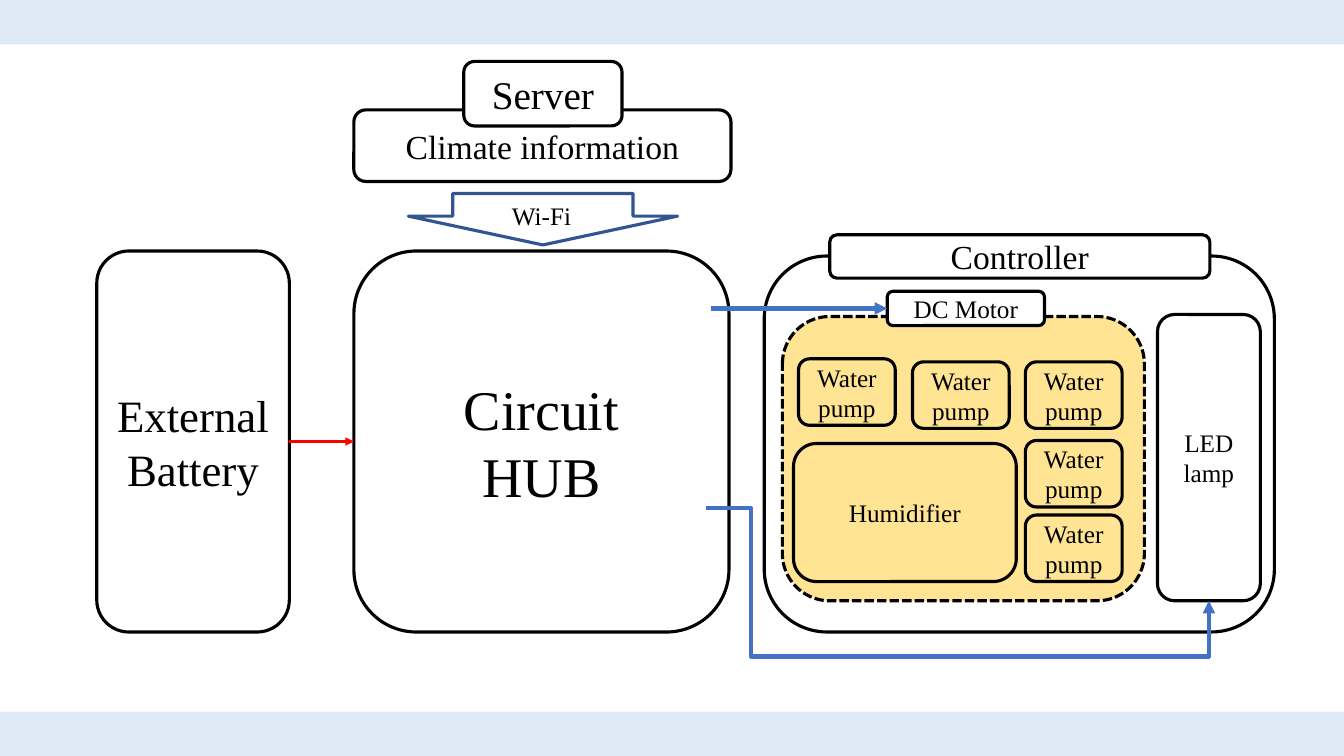
from lxml import etree
from pptx import Presentation
from pptx.dml.color import RGBColor
from pptx.enum.dml import MSO_LINE
from pptx.enum.shapes import MSO_CONNECTOR, MSO_SHAPE
from pptx.enum.text import MSO_ANCHOR, PP_ALIGN
from pptx.oxml.ns import qn
from pptx.util import Inches, Pt

BLACK = RGBColor(0x00, 0x00, 0x00)
WHITE = RGBColor(0xFF, 0xFF, 0xFF)
BLUE = RGBColor(0x44, 0x72, 0xC4)
DARK_BLUE = RGBColor(0x32, 0x54, 0x91)
PALE_BLUE = RGBColor(0xDE, 0xEB, 0xF7)
AMBER = RGBColor(0xFF, 0xC0, 0x00)
RED = RGBColor(0xFF, 0x00, 0x00)

ROUNDED = MSO_SHAPE.ROUNDED_RECTANGLE
RECTANGLE = MSO_SHAPE.RECTANGLE
DOWN_ARROW = MSO_SHAPE.DOWN_ARROW
STRAIGHT = MSO_CONNECTOR.STRAIGHT
ELBOW = MSO_CONNECTOR.ELBOW
DASHED = MSO_LINE.SQUARE_DOT
CENTER = PP_ALIGN.CENTER
LEFT = PP_ALIGN.LEFT
MIDDLE = MSO_ANCHOR.MIDDLE
LEFT_SIDE, RIGHT_SIDE = 1, 3


class Diagram:
    font_name = "Times New Roman"
    line_width = Pt(2.25)

    def __init__(self, slide):
        self.slide = slide

    def set_text(self, shape, text, size, alignment):
        shape.text_frame.text = text
        font_format = {"name": self.font_name, "size": Pt(size)}
        for paragraph in shape.text_frame.paragraphs:
            paragraph.alignment = alignment
            for name, value in font_format.items():
                setattr(paragraph.font, name, value)
            paragraph.font.color.rgb = BLACK

    def box(self, left, top, width, height, text="", size=18, fill=None,
            line=BLACK, preset=ROUNDED):
        shape = self.slide.shapes.add_shape(
            preset, Inches(left), Inches(top), Inches(width), Inches(height))
        shape.shadow.inherit = False
        if fill is None:
            shape.fill.background()
        else:
            shape.fill.solid()
            shape.fill.fore_color.rgb = fill
        if line is None:
            shape.line.fill.background()
        else:
            shape.line.color.rgb = line
            shape.line.width = self.line_width
        if text:
            frame_format = {"word_wrap": True, "vertical_anchor": MIDDLE}
            for name, value in frame_format.items():
                setattr(shape.text_frame, name, value)
            self.set_text(shape, text, size, CENTER)
        return shape

    def label(self, left, top, width, height, text, size=18):
        shape = self.slide.shapes.add_textbox(
            Inches(left), Inches(top), Inches(width), Inches(height))
        self.set_text(shape, text, size, LEFT)

    def arrow(self, start, end, color, width, kind=STRAIGHT):
        points = [Inches(value) for value in (*start, *end)]
        connector = self.slide.shapes.add_connector(kind, *points)
        connector.line.color.rgb = color
        connector.line.width = Pt(width)
        properties = connector._element.spPr
        etree.SubElement(properties.find(qn("a:ln")), qn("a:tailEnd"),
                         type="triangle")
        etree.SubElement(properties, qn("a:effectLst"))
        return connector


def set_opacity(shape, percent):
    color = shape._element.spPr.find(qn("a:solidFill"))[0]
    etree.SubElement(color, qn("a:alpha"), val=str(percent * 1000))


def route_below(connector, turn, drop):
    """Give an elbow a third bend; turn and drop are shares of its size."""
    geometry = connector._element.spPr.find(qn("a:prstGeom"))
    geometry.set("prst", "bentConnector4")
    guides = geometry.get_or_add_avLst()
    for name, share in (("adj1", turn), ("adj2", drop)):
        etree.SubElement(guides, qn("a:gd"), name=name,
                         fmla=f"val {round(share * 100000)}")


def main():
    presentation = Presentation()
    presentation.slide_width = Inches(13.33)
    presentation.slide_height = Inches(7.5)
    slide = presentation.slides.add_slide(presentation.slide_layouts[6])
    diagram = Diagram(slide)

    for bar_top in (7.06, 0):
        diagram.box(0, bar_top, 13.33, 0.44, fill=PALE_BLUE, line=None,
                    preset=RECTANGLE)

    board = diagram.box(3.51, 2.49, 3.72, 3.78, "Circuit\nHUB", 40)
    battery = diagram.box(0.96, 2.49, 1.91, 3.78, "External\nBattery", 32)

    diagram.box(3.51, 1.09, 3.74, 0.71, "Climate information", 24)
    diagram.box(4.6, 0.61, 1.57, 0.64, "Server", 28, WHITE)
    wifi_arrow = diagram.box(4.05, 1.92, 2.67, 0.51, line=DARK_BLUE,
                             preset=DOWN_ARROW)
    wifi_arrow.adjustments[0] = 0.67
    wifi_arrow.adjustments[1] = 0.56
    diagram.label(4.98, 1.94, 0.8, 0.4, "Wi-Fi")

    diagram.box(7.58, 2.54, 5.06, 3.73)
    diagram.box(8.23, 2.33, 3.77, 0.43, "Controller", 24, WHITE)
    diagram.box(11.48, 3.12, 1.02, 2.84, "LED lamp")
    chamber = diagram.box(7.76, 3.14, 3.59, 2.82, fill=AMBER)
    chamber.line.dash_style = DASHED
    set_opacity(chamber, 42)
    diagram.box(7.87, 4.4, 2.21, 1.37, "Humidifier")
    for left, top in ((7.92, 3.56), (9.05, 3.59), (10.17, 3.59),
                      (10.17, 4.37), (10.17, 5.11)):
        diagram.box(left, top, 0.96, 0.66, "Water pump")
    motor = diagram.box(8.8, 2.89, 1.56, 0.34, "DC Motor", fill=WHITE)

    motor_arrow = diagram.arrow((7.05, 3.06), (8.8, 3.06), BLUE, 3)
    motor_arrow.end_connect(motor, LEFT_SIDE)
    lamp_arrow = diagram.arrow((7, 5.04), (11.99, 5.96), BLUE, 3, ELBOW)
    route_below(lamp_arrow, 0.09, 1.6)
    power_arrow = diagram.arrow((2.87, 4.38), (3.51, 4.38), RED, 2)
    power_arrow.begin_connect(battery, RIGHT_SIDE)
    power_arrow.end_connect(board, LEFT_SIDE)

    presentation.save("out.pptx")


if __name__ == "__main__":
    main()
